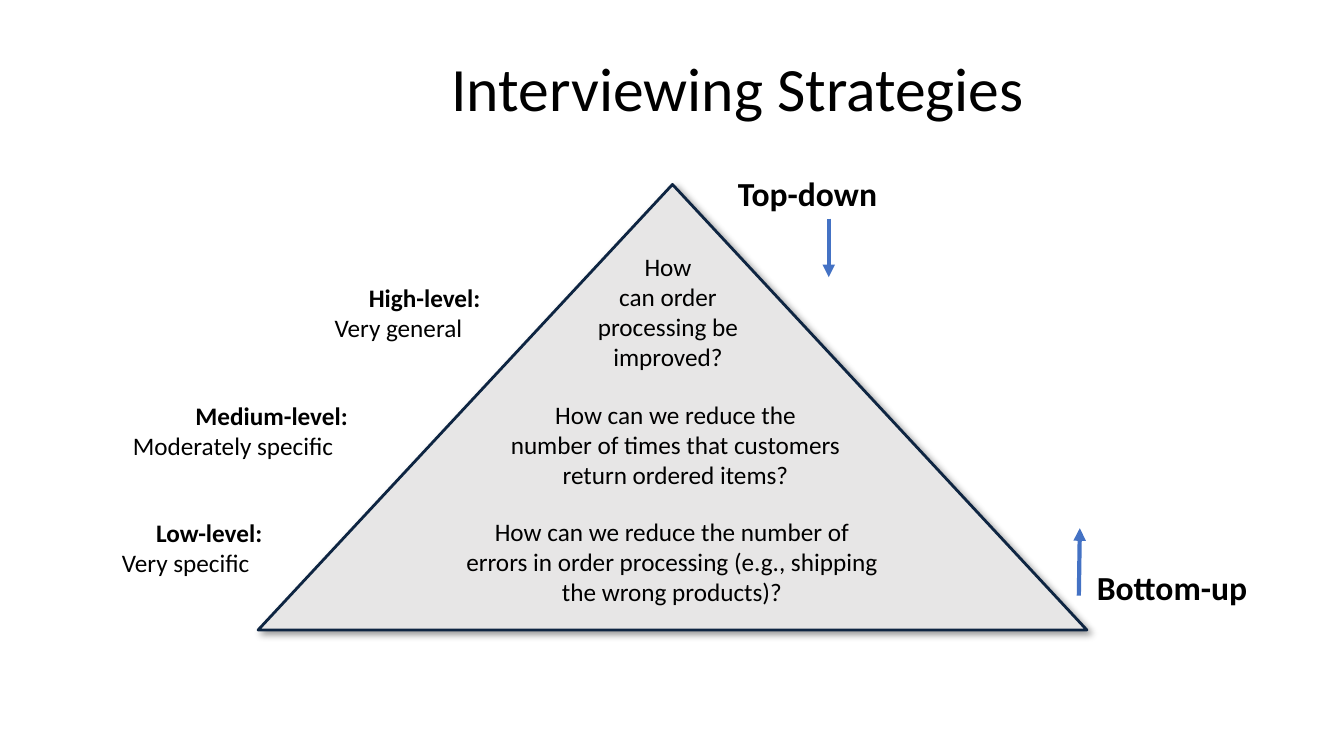
from dataclasses import dataclass

from lxml.etree import SubElement
from pptx import Presentation
from pptx.dml.color import RGBColor
from pptx.enum.shapes import MSO_CONNECTOR as Connector, MSO_SHAPE as Shape
from pptx.enum.text import MSO_ANCHOR as Anchor, MSO_AUTO_SIZE as AutoSize, PP_ALIGN as Align
from pptx.oxml.ns import qn
from pptx.slide import Slide
from pptx.text.text import TextFrame
from pptx.util import Inches, Pt

FONT = "Calibri"
COLORS = {
    "text": "000000",
    "background": "FFFFFF",
    "pyramid": "E7E6E6",
    "outline": "0E2542",
    "arrow": "4472C4",
    "shadow": "000000",
}


@dataclass(frozen=True)
class Box:
    left: float
    top: float
    width: float
    height: float

    def emu(self) -> list[int]:
        return [Inches(v) for v in (self.left, self.top, self.width, self.height)]


@dataclass(frozen=True)
class Question:
    box: Box
    lines: tuple[str, ...]


@dataclass(frozen=True)
class Level:
    box: Box
    name: str
    detail: str
    name_indent: float


@dataclass(frozen=True)
class Direction:
    box: Box
    label: str
    arrow_start: tuple[float, float]
    arrow_end: tuple[float, float]


TITLE_BOX = Box(2.23, 0.4, 10.18, 1.02)
PYRAMID_BOX = Box(2.56, 1.83, 8.22, 4.42)
QUESTIONS = (
    Question(Box(5.82, 2.44, 1.61, 1.31),
             ("How", "can order", "processing be", "improved?")),
    Question(Box(4.95, 3.91, 3.5, 1.01),
             ("How can we reduce the", "number of times that customers",
              "return ordered items?")),
    Question(Box(4.5, 5.07, 4.33, 1.01),
             ("How can we reduce the number of",
              "errors in order processing (e.g., shipping",
              "the wrong products)?")),
)
LEVELS = (
    Level(Box(3.22, 2.75, 1.66, 0.71), "High-level:", "Very general", 0.34),
    Level(Box(1.22, 3.92, 2.36, 0.71), "Medium-level:", "Moderately specific", 0.62),
    Level(Box(1.11, 5.08, 1.62, 0.71), "Low-level:", "Very specific", 0.34),
)
DIRECTIONS = (
    Direction(Box(7.22, 1.67, 1.6, 0.5), "Top-down", (8.22, 2.17), (8.22, 2.75)),
    Direction(Box(10.78, 5.58, 1.72, 0.5), "Bottom-up", (10.7, 5.91), (10.71, 5.24)),
)


def color(name: str) -> RGBColor:
    return RGBColor.from_string(COLORS[name])


def add_text(slide: Slide, box: Box, lines: tuple[str, ...], size: int,
             align: Align = Align.LEFT, bold_lines: int = 0) -> TextFrame:
    """Add one paragraph per line, the first bold_lines of them in bold."""
    frame = slide.shapes.add_textbox(*box.emu()).text_frame
    frame.word_wrap = False
    frame.auto_size = AutoSize.SHAPE_TO_FIT_TEXT
    frame.text = "\n".join(lines)
    for index, paragraph in enumerate(frame.paragraphs):
        paragraph.alignment = align
        paragraph.font.name = FONT
        paragraph.font.size = Pt(size)
        paragraph.font.bold = index < bold_lines
        paragraph.font.color.rgb = color("text")
    return frame


def add_title(slide: Slide) -> None:
    frame = add_text(slide, TITLE_BOX, ("Interviewing Strategies",), 44, Align.CENTER)
    frame.auto_size = AutoSize.NONE
    frame.word_wrap = True
    frame.vertical_anchor = Anchor.MIDDLE
    frame.paragraphs[0].line_spacing = 0.9


def add_pyramid(slide: Slide) -> None:
    pyramid = slide.shapes.add_shape(Shape.ISOSCELES_TRIANGLE, *PYRAMID_BOX.emu())
    pyramid.fill.solid()
    pyramid.fill.fore_color.rgb = color("pyramid")
    pyramid.line.color.rgb = color("outline")
    pyramid.line.width = Pt(2)
    pyramid.shadow.inherit = False
    effects = pyramid.element.spPr.find(qn("a:effectLst"))
    shadow = SubElement(effects, qn("a:outerShdw"), blurRad=str(Pt(5)), dist=str(Pt(3)),
                        dir=str(45 * 60000), algn="tl", rotWithShape="0")
    tint = SubElement(shadow, qn("a:srgbClr"), val=COLORS["shadow"])
    SubElement(tint, qn("a:alpha"), val="40000")


def add_level(slide: Slide, level: Level) -> None:
    frame = add_text(slide, level.box, (level.name, level.detail), 18, bold_lines=1)
    indent = str(Inches(level.name_indent))
    frame.paragraphs[0]._p.get_or_add_pPr().set("marL", indent)


def add_direction(slide: Slide, direction: Direction) -> None:
    """Add a heading and the arrow that shows which way it runs."""
    add_text(slide, direction.box, (direction.label,), 24, bold_lines=1)
    ends = [Inches(v) for v in direction.arrow_start + direction.arrow_end]
    arrow = slide.shapes.add_connector(Connector.STRAIGHT, *ends)
    arrow.line.color.rgb = color("arrow")
    arrow.line.width = Pt(3)
    SubElement(arrow.line._get_or_add_ln(), qn("a:tailEnd"), type="triangle")
    SubElement(arrow.element.spPr, qn("a:effectLst"))


def main() -> None:
    deck = Presentation()
    deck.slide_width, deck.slide_height = Inches(13.33), Inches(7.5)
    slide = deck.slides.add_slide(deck.slide_layouts[6])
    slide.background.fill.solid()
    slide.background.fill.fore_color.rgb = color("background")

    add_title(slide)
    add_pyramid(slide)
    for question in QUESTIONS:
        add_text(slide, question.box, question.lines, 18, Align.CENTER)
    for direction in DIRECTIONS:
        add_direction(slide, direction)
    for level in LEVELS:
        add_level(slide, level)
    deck.save("out.pptx")


if __name__ == "__main__":
    main()
